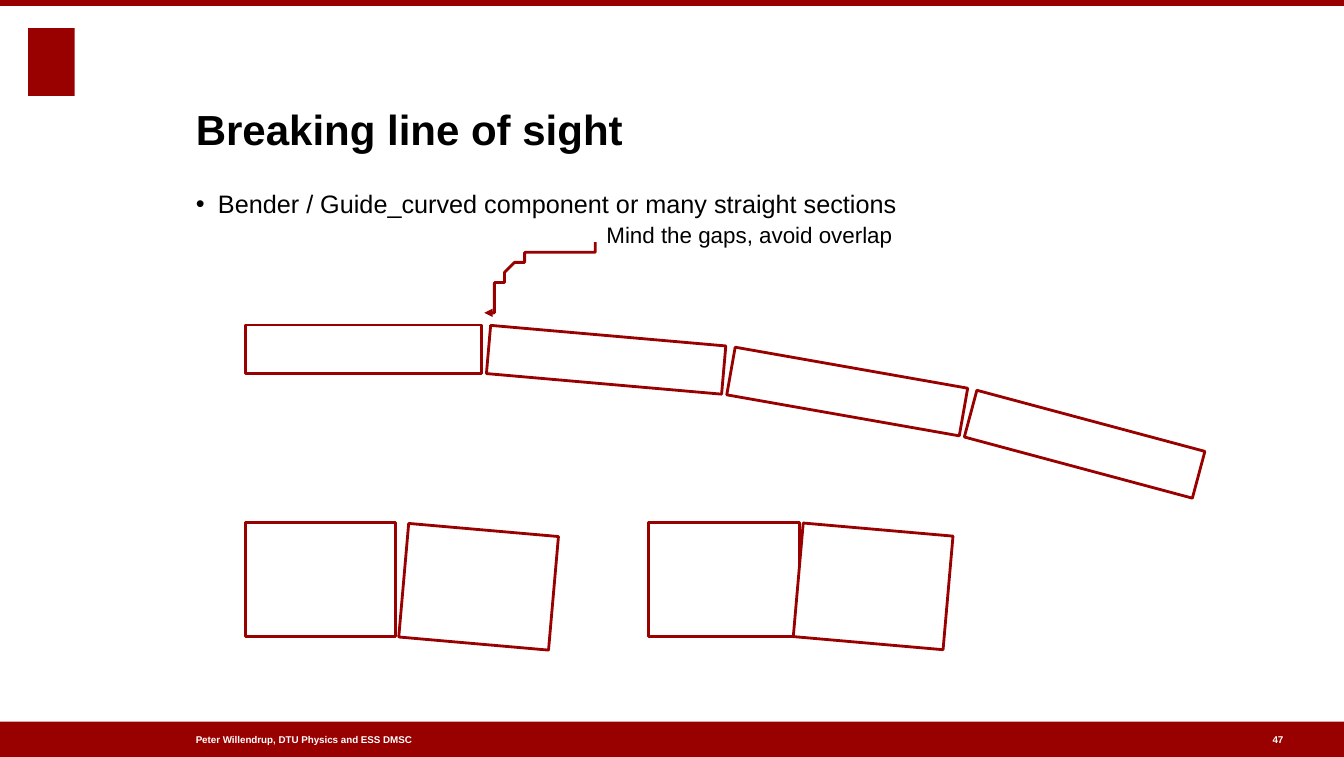
from dataclasses import dataclass
from math import cos, radians, sin

from lxml import etree
from pptx import Presentation
from pptx.dml.color import RGBColor
from pptx.enum.shapes import MSO_SHAPE
from pptx.enum.text import MSO_ANCHOR, MSO_AUTO_SIZE, PP_ALIGN
from pptx.oxml.ns import qn
from pptx.util import Inches, Pt

RECTANGLE = MSO_SHAPE.RECTANGLE
TOP, MIDDLE, BOTTOM = MSO_ANCHOR.TOP, MSO_ANCHOR.MIDDLE, MSO_ANCHOR.BOTTOM
LEFT, RIGHT = PP_ALIGN.LEFT, PP_ALIGN.RIGHT
NO_AUTOFIT = MSO_AUTO_SIZE.NONE

COLORS = {"red": "990000", "white": "FFFFFF", "black": "000000"}
FONT = "Arial"

# Square grid: one column or row is a tenth of an inch
CELL = Inches(0.1)
COLUMNS, ROWS = 133.2, 75
TEXT_LEFT, TEXT_WIDTH = 19.4, 101.8
BEND = 5  # degrees between neighbouring guide sections


@dataclass
class Box:
    """A rectangle in columns and rows."""
    left: float
    top: float
    width: float
    height: float

    def lengths(self):
        return [round(value * CELL)
                for value in (self.left, self.top, self.width, self.height)]

    def point(self, across, down):
        return self.left + across * self.width, self.top + down * self.height


def color(name):
    return RGBColor.from_string(COLORS[name])


def add_rectangle(slide, box, fill, outlined=False, rotation=0):
    shape = slide.shapes.add_shape(RECTANGLE, *box.lengths())
    shape.shadow.inherit = False
    shape.fill.solid()
    shape.fill.fore_color.rgb = color(fill)
    if outlined:
        shape.line.color.rgb = color("red")
        shape.line.width = Pt(2)
    else:
        shape.line.fill.background()
    shape.rotation = rotation


def write(shape, text, size, text_color, bold=False, anchor=TOP, align=LEFT, bullet=None):
    frame = shape.text_frame
    frame.text = text
    frame.word_wrap = True
    frame.auto_size = NO_AUTOFIT
    frame.vertical_anchor = anchor
    frame.margin_left = frame.margin_right = frame.margin_top = frame.margin_bottom = 0
    paragraph = frame.paragraphs[0]
    if bullet:
        properties = paragraph._p.get_or_add_pPr()
        properties.set("marL", str(Inches(0.22)))
        properties.set("indent", str(-Inches(0.22)))
        etree.SubElement(properties, qn("a:buChar"), char=bullet)
    paragraph.alignment = align
    paragraph.space_before = Pt(0)
    font = paragraph.runs[0].font
    font.name, font.size, font.bold = FONT, Pt(size), bold
    font.color.rgb = color(text_color)


def add_text(slide, box, *content, **style):
    write(slide.shapes.add_textbox(*box.lengths()), *content, **style)


def fill_placeholder(placeholder, box, *content, **style):
    (placeholder.left, placeholder.top,
     placeholder.width, placeholder.height) = box.lengths()
    write(placeholder, *content, **style)


def draw_header(slide, box):
    add_rectangle(slide, box, "red")
    # Plain block in the logo's place
    add_rectangle(slide, Box(box.left + 2.8, box.top + 2.8, 4.6, 6.7), "red")


def draw_footer(slide, box, author, number):
    add_rectangle(slide, box, "red")
    line_top = box.top + 1.1
    style = {"bold": True, "anchor": MIDDLE}
    add_text(slide, Box(TEXT_LEFT, line_top, 37.2, 1.4), author, 7, "white", **style)
    add_text(slide, Box(box.width - 10, line_top, 4, 1.4), number, 7, "white",
             align=RIGHT, **style)


def draw_guide(slide, box, count, step):
    """Chain of sections from the box, each turned by BEND and a step further on."""
    left, top = box.left, box.top
    for index in range(count):
        section = Box(left, top, box.width, box.height)
        add_rectangle(slide, section, "white", outlined=True, rotation=index * BEND)
        direction = radians((index + 0.5) * BEND)
        left += step * cos(direction)
        top += step * sin(direction)


def curve_points(start, first, second, end, steps=16):
    """Points on a cubic curve after its start."""
    for index in range(1, steps + 1):
        t = index / steps
        weights = ((1 - t) ** 3, 3 * t * (1 - t) ** 2, 3 * t ** 2 * (1 - t), t ** 3)
        yield tuple(sum(weight * point[axis] for weight, point
                        in zip(weights, (start, first, second, end)))
                    for axis in (0, 1))


def draw_gap_arrow(slide, box):
    start, bend, end = box.point(1, 0), box.point(0.26, 0.18), box.point(0, 1)
    points = [
        *curve_points(start, box.point(0.72, 0.01), box.point(0.43, 0.01), bend),
        *curve_points(bend, box.point(0.09, 0.35), box.point(0.05, 0.68), end),
    ]
    builder = slide.shapes.build_freeform(*start, scale=CELL)
    builder.add_line_segments(points, close=False)
    arrow = builder.convert_to_shape()
    arrow.shadow.inherit = False
    arrow.fill.background()
    arrow.line.color.rgb = color("red")
    arrow.line.width = Pt(2)
    etree.SubElement(arrow.line._get_or_add_ln(), qn("a:tailEnd"), type="triangle")


def draw_diagram(slide, box):
    # Curved guide made of straight sections
    draw_guide(slide, Box(box.left, box.top + 10.3, 23.4, 4.8), 4, 24.1)
    # Note with arrow to the first gap
    add_text(slide, Box(box.left + 35.8, box.top, 39.9, 2.4),
             "Mind the gaps, avoid overlap", 16, "black")
    draw_gap_arrow(slide, Box(box.left + 24.2, box.top + 2.6, 10.9, 6.9))
    # Close-ups: sections with a gap, then overlapping
    for column, step in ((0, 15.7), (40, 14.8)):
        draw_guide(slide, Box(box.left + column, box.top + 29.9, 14.9, 11.3), 2, step)


def main():
    presentation = Presentation()
    presentation.slide_width = round(COLUMNS * CELL)
    presentation.slide_height = ROWS * CELL
    slide = presentation.slides.add_slide(presentation.slide_layouts[1])

    draw_header(slide, Box(0, 0, COLUMNS, 0.6))
    draw_footer(slide, Box(0, ROWS - 3.5, COLUMNS, 3.5),
                "Peter Willendrup, DTU Physics and ESS DMSC", "47")
    title, body = slide.placeholders
    fill_placeholder(title, Box(TEXT_LEFT, 4.7, TEXT_WIDTH, 10.6),
                     "Breaking line of sight", 30, "black", bold=True, anchor=BOTTOM)
    fill_placeholder(body, Box(TEXT_LEFT, 18.7, TEXT_WIDTH, 49.7),
                     "Bender / Guide_curved component or many straight sections",
                     18, "black", bullet="•")
    draw_diagram(slide, Box(24.3, 21.9, 96, 42))

    presentation.save("out.pptx")


if __name__ == "__main__":
    main()
